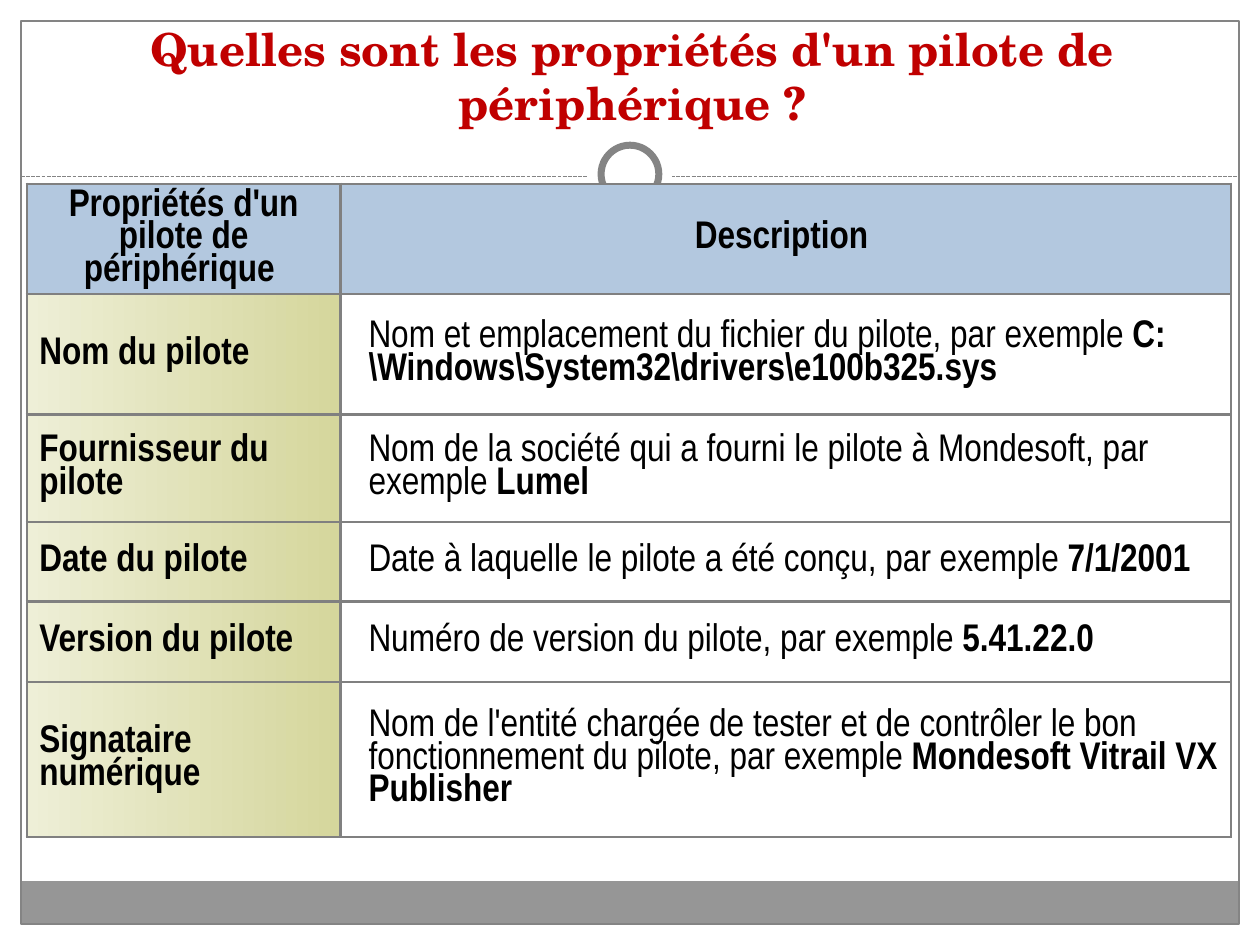
"""Build the slide on the properties of a device driver."""
import pptx
import pptx.dml.color
import pptx.enum.dml
import pptx.enum.shapes
import pptx.enum.text
import pptx.oxml
import pptx.oxml.ns
import pptx.util

Pt = pptx.util.Pt
Shape = pptx.enum.shapes.MSO_SHAPE
Align = pptx.enum.text.PP_ALIGN
Anchor = pptx.enum.text.MSO_ANCHOR

TITLE = "Quelles sont les propriétés d'un pilote de périphérique ?"
HEADS = ["Propriétés d'un pilote de périphérique ", "Description "]
ROWS = [
    ("Nom du pilote", "Nom et emplacement du fichier du pilote, par exemple",
     r" C:\Windows\System32\drivers\e100b325.sys"),
    ("Fournisseur du pilote",
     "Nom de la société qui a fourni le pilote à Mondesoft, par exemple", " Lumel"),
    ("Date du pilote", "Date à laquelle le pilote a été conçu, par exemple", " 7/1/2001"),
    ("Version du pilote", "Numéro de version du pilote, par exemple", " 5.41.22.0"),
    ("Signataire numérique",
     "Nom de l'entité chargée de tester et de contrôler le bon fonctionnement "
     "du pilote, par exemple", " Mondesoft Vitrail VX Publisher"),
]
WIDTHS = [179.3, 509]
HEIGHTS = [54, 69, 61.5, 45.3, 46, 88.5]
WHITE, GREY, EDGE = "FFFFFF", "848484", "808080"
HEAD, PALE, DARK = "B3C8DF", "EEEFD7", "D5D69C"


def tint(part, code):
    """Set a colour from a hex string."""
    part.rgb = pptx.dml.color.RGBColor.from_string(code)


def paint(fill, code):
    """Give a solid fill, or none."""
    if code:
        fill.solid()
        tint(fill.fore_color, code)
    else:
        fill.background()


def draw(slide, kind, box, fill=None, width=0):
    """Add a preset shape with an optional grey outline."""
    shape = slide.shapes.add_shape(kind, *map(Pt, box))
    shape.shadow.inherit = False
    paint(shape.fill, fill)
    paint(shape.line.fill, GREY if width else None)
    if width:
        shape.line.width = Pt(width)


def write(frame, runs, font, size, code, align):
    """Write one paragraph from (text, bold) runs."""
    para = frame.paragraphs[0]
    para.alignment = align
    for text, bold in runs:
        run = para.add_run()
        run.text = text
        run.font.name, run.font.size, run.font.bold = font, Pt(size), bold
        tint(run.font.color, code)
    return para


def edge(cell):
    """Draw the four borders of a cell."""
    props = cell._tc.get_or_add_tcPr()
    for spot, side in enumerate(("lnL", "lnR", "lnT", "lnB")):
        props.insert(spot, pptx.oxml.parse_xml(
            f'<a:{side} {pptx.oxml.ns.nsdecls("a")} w="{Pt(1.5)}"><a:solidFill>'
            f'<a:srgbClr val="{EDGE}"/></a:solidFill></a:{side}>'))


def put(cell, runs, align=Align.LEFT, tight=True):
    """Fill a cell with text and borders."""
    cell.vertical_anchor = Anchor.MIDDLE
    para = write(cell.text_frame, runs, "Arial Narrow", 22, "000000", align)
    if tight:
        para.line_spacing = 0.9
    edge(cell)


def frame(slide):
    """Draw the frame, the foot band, the dashed rule and the ring."""
    draw(slide, Shape.RECTANGLE, (12, 503.5, 696, 24.5), "969696")
    draw(slide, Shape.RECTANGLE, (12, 12, 696, 516), None, 0.75)
    rule = slide.shapes.add_connector(
        pptx.enum.shapes.MSO_CONNECTOR.STRAIGHT, Pt(12), Pt(100.8), Pt(708), Pt(100.8))
    rule.line.width = Pt(0.75)
    rule.line.dash_style = pptx.enum.dml.MSO_LINE.SQUARE_DOT
    tint(rule.line.color, GREY)
    rule._element.spPr.append(
        pptx.oxml.parse_xml(f'<a:effectLst {pptx.oxml.ns.nsdecls("a")}/>'))
    for size, width in ((48, 0), (33, 4)):
        draw(slide, Shape.OVAL, (360 - size / 2, 99.5 - size / 2, size, size), WHITE, width)


def head(slide):
    """Place the title."""
    title = slide.shapes.title
    title.left, title.top, title.width, title.height = map(Pt, (18, 23.8, 687, 54))
    text = title.text_frame
    text.word_wrap = True
    text.auto_size = pptx.enum.text.MSO_AUTO_SIZE.NONE
    text.vertical_anchor = Anchor.BOTTOM
    write(text, [(TITLE, True)], "TeX Gyre Schola", 26, "C00000", Align.CENTER)


def grid(slide):
    """Build the table of properties."""
    table = slide.shapes.add_table(
        len(HEIGHTS), len(WIDTHS), Pt(15.3), Pt(105), Pt(sum(WIDTHS)), Pt(sum(HEIGHTS))).table
    table.first_row = table.horz_banding = False
    for col, width in zip(table.columns, WIDTHS):
        col.width = Pt(width)
    for row, height in zip(table.rows, HEIGHTS):
        row.height = Pt(height)
    for spot, text in enumerate(HEADS):
        cell = table.cell(0, spot)
        paint(cell.fill, HEAD)
        put(cell, [(text, True)], Align.CENTER, spot == 0)
    for spot, (name, text, sample) in enumerate(ROWS, 1):
        left, right = table.cell(spot, 0), table.cell(spot, 1)
        left.fill.gradient()
        left.fill.gradient_angle = 0
        for stop, code in zip(left.fill.gradient_stops, (PALE, DARK)):
            tint(stop.color, code)
        put(left, [(name, True)])
        paint(right.fill, WHITE)
        right.margin_left = Pt(16)
        put(right, [(text, False), (sample, True)])


def main():
    """Build and save the slide."""
    deck = pptx.Presentation()
    deck.slide_width, deck.slide_height = Pt(720), Pt(540)
    slide = deck.slides.add_slide(deck.slide_layouts[5])
    frame(slide)
    head(slide)
    grid(slide)
    deck.save("out.pptx")


if __name__ == "__main__":
    main()
